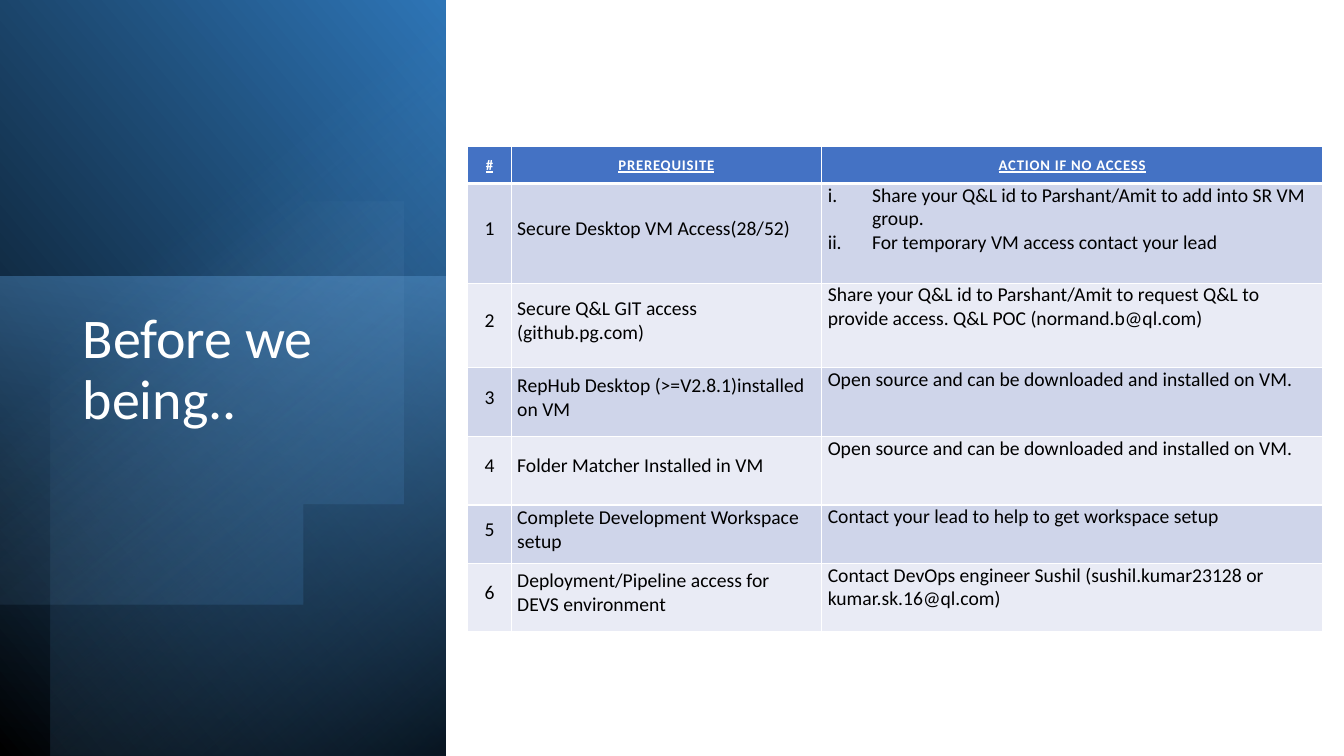
from math import acos, cos, pi, sin

from lxml import etree
from pptx import Presentation
from pptx.dml.color import RGBColor
from pptx.enum.shapes import MSO_SHAPE
from pptx.enum.text import MSO_ANCHOR as ANCHOR, MSO_AUTO_SIZE as AUTO_SIZE, PP_ALIGN as ALIGN
from pptx.oxml.ns import qn
from pptx.util import Inches, Pt

FONT = "Calibri"
COLORS = {
    "black": "000000", "white": "FFFFFF",
    "blue": "2E75B6", "sky": "5B9BD5", "navy": "1F4E79", "pale": "9DC3E6",
    "header": "4472C4", "band": "CFD5EA", "light": "E9EBF5",
}
HEADINGS = ["#", "PREREQUISITE", "ACTION IF NO ACCESS"]
# Prerequisite and its actions; several actions become a numbered list
PREREQUISITES = [
    ("Secure Desktop VM Access(28/52)",
     ["Share your Q&L id to Parshant/Amit to add into SR VM group.",
      "For temporary VM access contact your lead"]),
    ("Secure Q&L GIT access (github.pg.com)",
     ["Share your Q&L id to Parshant/Amit to request Q&L to provide access. "
      "Q&L POC (normand.b@ql.com)"]),
    ("RepHub Desktop (>=V2.8.1)installed on VM",
     ["Open source and can be downloaded and installed on VM."]),
    ("Folder Matcher Installed in VM",
     ["Open source and can be downloaded and installed on VM."]),
    ("Complete Development Workspace setup",
     ["Contact your lead to help to get workspace setup"]),
    ("Deployment/Pipeline access for DEVS environment",
     ["Contact DevOps engineer Sushil (sushil.kumar23128 or kumar.sk.16@ql.com)"]),
]
COLUMN_WIDTHS = [0.43, 3.08, 4.97]
ROW_HEIGHTS = [0.37, 0.99, 0.84, 0.68, 0.68, 0.58, 0.68]


def rgb(name):
    return RGBColor.from_string(COLORS[name])


def fill_gradient(shape, stops, angle):
    """Fill with (position %, colour, opacity %) stops, without line or shadow."""
    shape.fill.gradient()
    gradient = shape._element.spPr.find(qn("a:gradFill"))
    for child in list(gradient):
        gradient.remove(child)
    stop_list = etree.SubElement(gradient, qn("a:gsLst"))
    for position, color, opacity in stops:
        stop = etree.SubElement(stop_list, qn("a:gs"), pos=str(position * 1000))
        tint = etree.SubElement(stop, qn("a:srgbClr"), val=COLORS[color])
        etree.SubElement(tint, qn("a:alpha"), val=str(opacity * 1000))
    etree.SubElement(gradient, qn("a:lin"), ang=str(angle * 60000), scaled="0")
    shape.line.fill.background()
    shape.shadow.inherit = False


def add_turned_panel(slide, box, turn, stops, angle, flip=False):
    """Cover the box with a rectangle turned by a quarter."""
    left, top, width, height = box
    shift = (width - height) / 2
    panel = slide.shapes.add_shape(
        MSO_SHAPE.RECTANGLE, Inches(left + shift), Inches(top - shift),
        Inches(height), Inches(width))
    panel.rotation = turn
    if flip:
        panel._element.spPr.xfrm.set("flipH", "1")
    fill_gradient(panel, stops, angle)


def add_clipped_circle(slide, edge, center_x, center_y, radius):
    """Draw a circle cut off along the vertical line x = edge."""
    limit = acos((edge - center_x) / radius)
    steps = 120
    angles = [limit * (2 * i / steps - 1) for i in range(steps + 1)]
    points = [(center_x + radius * cos(a), center_y + radius * sin(a)) for a in angles]
    outline = slide.shapes.build_freeform(*points[0], scale=Inches(1))
    outline.add_line_segments(points[1:], close=True)
    fill_gradient(outline.convert_to_shape(), [(39, "pale", 0), (100, "blue", 26)], 52)


def add_side_panel(slide, box):
    left, top, width, height = box
    bottom = top + height
    # Layered gradients
    add_turned_panel(slide, box, 90, [(0, "black", 100), (100, "blue", 100)], 310, flip=True)
    add_turned_panel(slide, (left, bottom - 4.76, width, 4.76), 270,
                     [(0, "sky", 50), (100, "navy", 0)], 190)
    add_turned_panel(slide, (left + 0.5, top, width - 0.5, height), 270,
                     [(0, "black", 59), (69, "sky", 0)], 220, flip=True)
    add_clipped_circle(slide, left, left + 1.42, top + 3.47, 2.63)

    # Title in front of the gradients
    title = slide.shapes.title
    slide.shapes._spTree.append(title._element)
    title.left, title.top = Inches(left + 0.72), Inches(top + 3.03)
    title.width, title.height = Inches(3.15), Inches(3.36)
    frame = title.text_frame
    frame.word_wrap = True
    frame.auto_size = AUTO_SIZE.NONE
    frame.vertical_anchor = ANCHOR.TOP
    heading = frame.paragraphs[0]
    heading.alignment = ALIGN.LEFT
    heading.line_spacing = 0.9
    add_run(heading, "Before we being..", 40, "white")


def add_run(paragraph, text, size, color):
    run = paragraph.add_run()
    run.text = text
    font = run.font
    font.name, font.size, font.bold = FONT, Pt(size), False
    font.color.rgb = rgb(color)
    return run


def number_paragraph(paragraph):
    properties = paragraph._p.get_or_add_pPr()
    indent = Inches(0.44)
    properties.set("marL", str(indent))
    properties.set("indent", str(-indent))
    etree.SubElement(properties, qn("a:buFont"), typeface="+mj-lt")
    etree.SubElement(properties, qn("a:buAutoNum"), type="romanLcPeriod")


def format_cell(cell, color, anchor, top_margin, bottom_line):
    properties = cell._tc.get_or_add_tcPr()
    for side, points in (("L", 1), ("R", 1), ("T", 1), ("B", bottom_line)):
        line = etree.SubElement(properties, qn("a:ln" + side), w=str(Pt(points)))
        paint = etree.SubElement(line, qn("a:solidFill"))
        etree.SubElement(paint, qn("a:srgbClr"), val=COLORS["white"])
    cell.fill.solid()
    cell.fill.fore_color.rgb = rgb(color)
    cell.vertical_anchor = anchor
    cell.margin_left = cell.margin_right = Inches(0.06)
    cell.margin_top, cell.margin_bottom = Inches(top_margin), Inches(0.09)


def write_body_cell(cell, lines, color, anchor, alignment):
    format_cell(cell, color, anchor, 0, 1)
    frame = cell.text_frame
    for i, line in enumerate(lines):
        paragraph = frame.add_paragraph() if i else frame.paragraphs[0]
        paragraph.alignment = alignment
        if len(lines) > 1:
            number_paragraph(paragraph)
        add_run(paragraph, line, 14, "black")


def add_prerequisite_table(slide, box):
    table = slide.shapes.add_table(
        len(ROW_HEIGHTS), len(COLUMN_WIDTHS), *map(Inches, box)).table
    for column, width in zip(table.columns, COLUMN_WIDTHS):
        column.width = Inches(width)
    for row, height in zip(table.rows, ROW_HEIGHTS):
        row.height = Inches(height)

    # Header row
    for i, heading in enumerate(HEADINGS):
        cell = table.cell(0, i)
        format_cell(cell, "header", ANCHOR.BOTTOM, 0.09, 3)
        paragraph = cell.text_frame.paragraphs[0]
        paragraph.alignment = ALIGN.CENTER
        run = add_run(paragraph, heading, 10.5, "white")
        run.font.bold = run.font.underline = True
        run._r.get_or_add_rPr().set("spc", "60")

    # Numbered prerequisites
    for number, (prerequisite, actions) in enumerate(PREREQUISITES, 1):
        color = "band" if number % 2 else "light"
        number_cell, name_cell, action_cell = table.rows[number].cells
        write_body_cell(number_cell, [str(number)], color, ANCHOR.MIDDLE, ALIGN.CENTER)
        write_body_cell(name_cell, [prerequisite], color, ANCHOR.MIDDLE, ALIGN.LEFT)
        write_body_cell(action_cell, actions, color, ANCHOR.TOP, ALIGN.LEFT)


def main():
    deck = Presentation()
    deck.slide_width, deck.slide_height = Inches(13.33), Inches(7.5)
    slide = deck.slides.add_slide(deck.slide_layouts[5])
    add_side_panel(slide, (0, 0, 4.42, 7.5))
    add_prerequisite_table(slide, (4.64, 1.45, sum(COLUMN_WIDTHS), sum(ROW_HEIGHTS)))
    deck.save("out.pptx")


if __name__ == "__main__":
    main()
